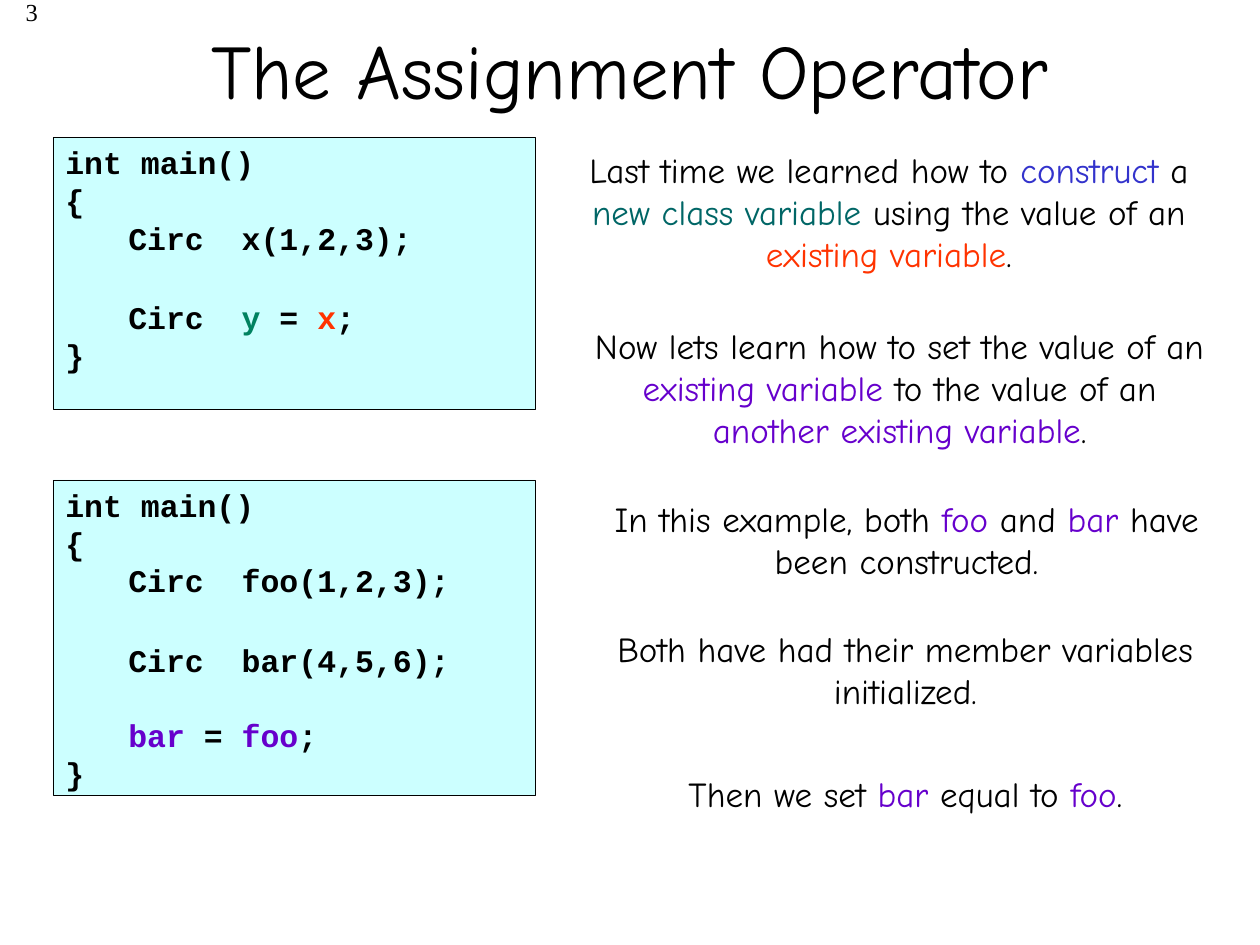
from lxml import etree
from pptx import Presentation
from pptx.dml.color import RGBColor
from pptx.enum.shapes import MSO_SHAPE
from pptx.enum.text import MSO_ANCHOR, PP_ALIGN
from pptx.oxml.ns import qn
from pptx.util import Inches, Pt

BLACK = RGBColor(0x00, 0x00, 0x00)
PANEL = RGBColor(0xCC, 0xFF, 0xFF)
BLUE = RGBColor(0x33, 0x33, 0xCC)
TEAL = RGBColor(0x00, 0x66, 0x66)
GREEN = RGBColor(0x00, 0x82, 0x60)
RED = RGBColor(0xFF, 0x33, 0x00)
PURPLE = RGBColor(0x66, 0x00, 0xCC)

BODY_FONT, CODE_FONT, NUMBER_FONT = "Comic Neue", "Courier New", "Times New Roman"
CODE_PITCH = Pt(21.5)
SHORT_GAP, LINE_GAP = Pt(24), CODE_PITCH
TAB_WIDTH = Inches(0.5)

# Each code line: space above, then its (text, colour) runs
OPENING = [(0, [("int main()", BLACK)]), (0, [("{", BLACK)])]
CLOSING = [(0, [("}", BLACK)])]
COPY_CODE = OPENING + [
    (0, [("\tCirc  x(1,2,3);", BLACK)]),
    (SHORT_GAP, [("\tCirc  ", BLACK), ("y", GREEN), (" = ", BLACK),
                 ("x", RED), (";", BLACK)]),
] + CLOSING
ASSIGN_CODE = OPENING + [
    (0, [("\tCirc  foo(1,2,3);", BLACK)]),
    (SHORT_GAP, [("\tCirc  bar(4,5,6);", BLACK)]),
    (LINE_GAP, [("\t", BLACK), ("bar", PURPLE), (" = ", BLACK),
                ("foo", PURPLE), (";", BLACK)]),
] + CLOSING

# Each remark: its box (left, top, width, height) and its runs
REMARKS = [
    ((4.34, 1.13, 5.43, 1.1),
     [("Last time we learned how to ", BLACK), ("construct ", BLUE), ("a ", BLACK),
      ("new class variable ", TEAL), ("using the value of an ", BLACK),
      ("existing variable", RED), (".", BLACK)]),
    ((4.62, 2.53, 5.04, 1.1),
     [("Now lets learn how to set the value of an ", BLACK),
      ("existing variable", PURPLE), (" to the value of an ", BLACK),
      ("another existing variable", PURPLE), (".", BLACK)]),
    ((4.59, 3.9, 5.21, 0.77),
     [("In this example, both ", BLACK), ("foo", PURPLE), (" and ", BLACK),
      ("bar", PURPLE), (" have been constructed.", BLACK)]),
    ((4.58, 4.93, 5.21, 0.77),
     [("Both have had their member variables initialized.", BLACK)]),
    ((4.58, 6.08, 5.21, 0.43),
     [("Then we set ", BLACK), ("bar", PURPLE), (" equal to ", BLACK),
      ("foo", PURPLE), (".", BLACK)]),
]


def add_runs(paragraph, runs, font_name, size, bold=False):
    for text, colour in runs:
        run = paragraph.add_run()
        run.text = text
        run.font.name = font_name
        run.font.size = Pt(size)
        run.font.bold = bold
        run.font.color.rgb = colour


def add_label(slide, box, runs, font_name, size,
              align=PP_ALIGN.CENTER, anchor=MSO_ANCHOR.TOP):
    frame = slide.shapes.add_textbox(*map(Inches, box)).text_frame
    frame.word_wrap = True
    frame.vertical_anchor = anchor
    frame.paragraphs[0].alignment = align
    add_runs(frame.paragraphs[0], runs, font_name, size)


def add_code_panel(slide, box, lines):
    panel = slide.shapes.add_shape(MSO_SHAPE.RECTANGLE, *map(Inches, box))
    panel.shadow.inherit = False
    panel.fill.solid()
    panel.fill.fore_color.rgb = PANEL
    panel.line.color.rgb = BLACK
    panel.line.width = Pt(0.25)
    frame = panel.text_frame
    frame.word_wrap = True
    frame.vertical_anchor = MSO_ANCHOR.TOP
    for index, (gap, runs) in enumerate(lines):
        line = frame.add_paragraph() if index else frame.paragraphs[0]
        line.alignment = PP_ALIGN.LEFT
        line.line_spacing = CODE_PITCH
        line.space_before = Pt(0) + gap
        # Tab stop for the code indent
        stops = etree.SubElement(line._p.get_or_add_pPr(), qn("a:tabLst"))
        etree.SubElement(stops, qn("a:tab"), pos=str(TAB_WIDTH), algn="l")
        add_runs(line, runs, CODE_FONT, 18, bold=True)


def main():
    deck = Presentation()
    deck.slide_width, deck.slide_height = Inches(10), Inches(7.5)
    slide = deck.slides.add_slide(deck.slide_layouts[6])

    # Slide number and title
    add_label(slide, (0, -0.07, 0.4, 0.5), [("3", BLACK)], NUMBER_FONT, 14,
              align=PP_ALIGN.RIGHT)
    add_label(slide, (0.75, -0.08, 8.5, 1.25), [("The Assignment Operator", BLACK)],
              BODY_FONT, 44, anchor=MSO_ANCHOR.MIDDLE)

    # Code on the left, remarks on the right
    add_code_panel(slide, (0.42, 1.09, 3.83, 2.16), COPY_CODE)
    add_code_panel(slide, (0.42, 3.81, 3.83, 2.5), ASSIGN_CODE)
    for box, runs in REMARKS:
        add_label(slide, box, runs, BODY_FONT, 20)

    deck.save("out.pptx")


if __name__ == "__main__":
    main()
